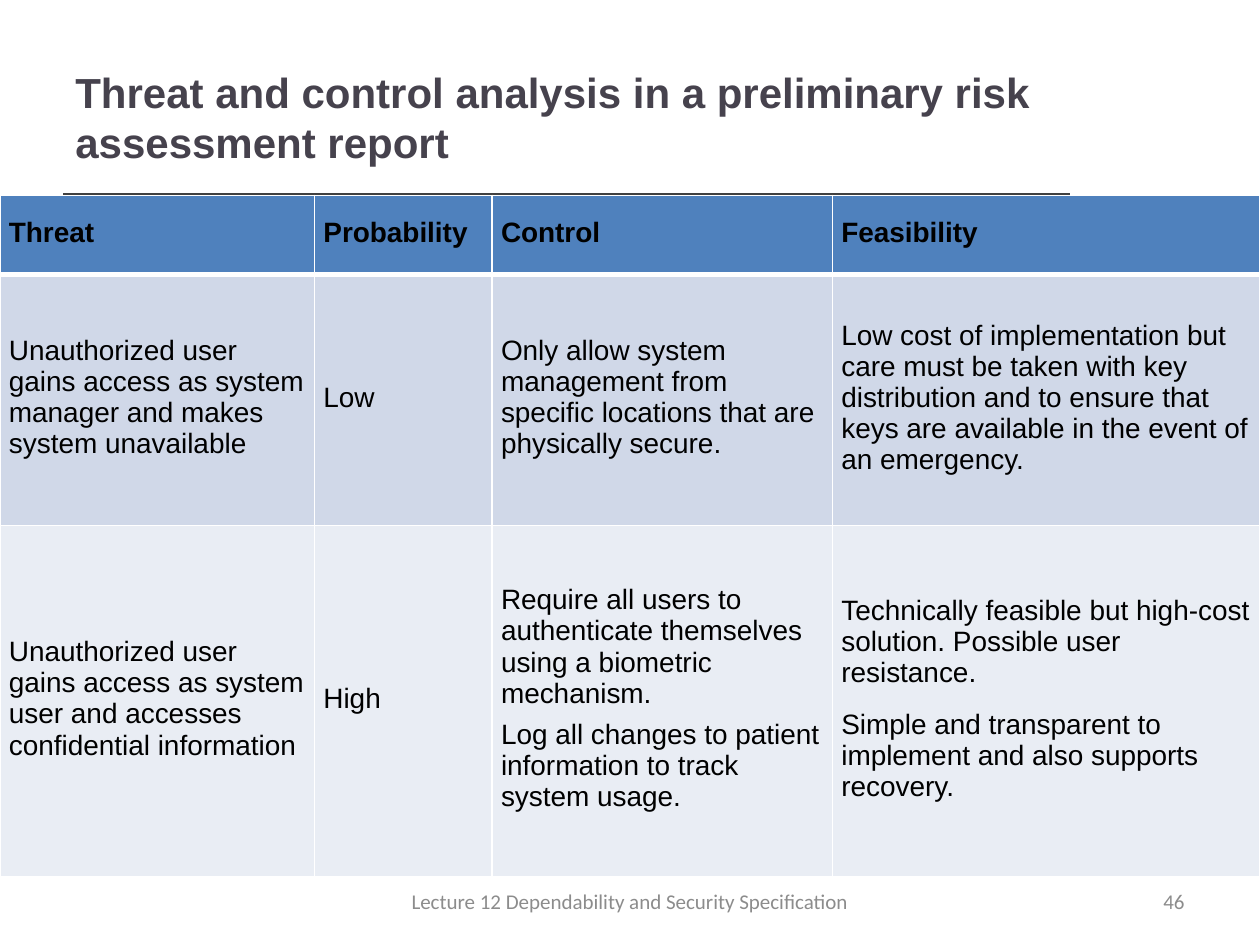
"""Build a slide with a threat and control analysis table."""
import dataclasses

import lxml.etree
import pptx
import pptx.dml.color
import pptx.enum.shapes
import pptx.enum.text
import pptx.oxml
import pptx.oxml.ns
import pptx.util
from pptx.util import Cm

ALIGN = pptx.enum.text.PP_ALIGN
MIDDLE = pptx.enum.text.MSO_ANCHOR.MIDDLE


@dataclasses.dataclass(frozen=True)
class Theme:
    """Colours, fonts and type sizes of the slide."""
    title_color: str = "46424D"
    text_color: str = "000000"
    footer_color: str = "8C8C8C"
    rule_color: str = "404040"
    border_color: str = "FFFFFF"
    row_fills: tuple = ("4F81BD", "D0D8E8", "E9EDF4")
    body_font: str = "Arial"
    footer_font: str = "Calibri"
    title_size: int = 24
    body_size: int = 16
    footer_size: int = 12


@dataclasses.dataclass(frozen=True)
class Entry:
    """One table paragraph with its spacing in points."""
    text: str
    before: int = 0
    after: int = 0


THEME = Theme()
COLUMN_WIDTHS = (6.34, 3.58, 6.86, 8.62)
ROW_HEIGHTS = (1.6, 5.05, 7.09)
HEADINGS = ("Threat", "Probability", "Control", "Feasibility")
MANAGER_THREAT = (
    "Unauthorized user gains access as system manager and makes system unavailable",
    "Low",
    "Only allow system management from specific locations that are physically secure.",
    "Low cost of implementation but care must be taken with key distribution "
    "and to ensure that keys are available in the event of an emergency.",
)
USER_THREAT = (
    [Entry("Unauthorized user gains access as system user and accesses "
           "confidential information", 6)],
    [Entry("High", 6)],
    [Entry("Require all users to authenticate themselves using a biometric mechanism.", 6, 6),
     Entry("Log all changes to patient information to track system usage.")],
    [Entry("Technically feasible but high-cost solution. Possible user resistance.", 6, 6),
     Entry("Simple and transparent to implement and also supports recovery.", 6)],
)
ROWS = (
    [[Entry(heading, 3, 3)] for heading in HEADINGS],
    [[Entry(text)] for text in MANAGER_THREAT],
    USER_THREAT,
)


def rgb(color):
    """Return a colour object for a hex string."""
    return pptx.dml.color.RGBColor.from_string(color)


def format_paragraph(paragraph, font_name, size, color, bold=False):
    """Set the font of every run in a paragraph."""
    for run in paragraph.runs:
        run.font.name = font_name
        run.font.size = pptx.util.Pt(size)
        run.font.bold = bold
        run.font.color.rgb = rgb(color)


def add_text(slide, box, text, font_name, size, color, alignment=ALIGN.LEFT, bold=False):
    """Add a wrapped, vertically centred text box."""
    shape = slide.shapes.add_textbox(*map(Cm, box))
    text_frame = shape.text_frame
    text_frame.word_wrap = True
    text_frame.vertical_anchor = MIDDLE
    text_frame.text = text
    paragraph = text_frame.paragraphs[0]
    paragraph.alignment = alignment
    format_paragraph(paragraph, font_name, size, color, bold)


def add_rule(slide, left, right, top):
    """Add the horizontal rule below the title."""
    connector = slide.shapes.add_connector(
        pptx.enum.shapes.MSO_CONNECTOR.STRAIGHT, Cm(left), Cm(top), Cm(right), Cm(top))
    connector.line.color.rgb = rgb(THEME.rule_color)
    connector.line.width = pptx.util.Pt(2)
    properties = connector._element.spPr
    lxml.etree.SubElement(properties, pptx.oxml.ns.qn("a:effectLst"))


def set_borders(cell, widths):
    """Draw cell borders from a mapping of side letter to width in points."""
    properties = cell._tc.get_or_add_tcPr()
    for side, width in widths.items():
        properties.append(pptx.oxml.parse_xml(
            f'<a:ln{side} {pptx.oxml.ns.nsdecls("a")} w="{pptx.util.Pt(width)}">'
            f'<a:solidFill><a:srgbClr val="{THEME.border_color}"/></a:solidFill>'
            f'</a:ln{side}>'))


def fill_cell(cell, entries, fill, widths, bold):
    """Write and format one table cell."""
    set_borders(cell, widths)
    cell.fill.solid()
    cell.fill.fore_color.rgb = rgb(fill)
    cell.vertical_anchor = MIDDLE
    cell.margin_left = cell.margin_right = Cm(0.18)
    cell.margin_top, cell.margin_bottom = Cm(0.2), Cm(0.3)
    cell.text_frame.text = "\n".join(entry.text for entry in entries)
    for paragraph, entry in zip(cell.text_frame.paragraphs, entries):
        paragraph.space_before = pptx.util.Pt(entry.before)
        paragraph.space_after = pptx.util.Pt(entry.after)
        format_paragraph(paragraph, THEME.body_font, THEME.body_size, THEME.text_color, bold)


def add_threat_table(slide, left, top):
    """Add the table of threats, controls and feasibility."""
    frame = slide.shapes.add_table(
        len(ROWS), len(HEADINGS), Cm(left), Cm(top),
        Cm(sum(COLUMN_WIDTHS)), Cm(sum(ROW_HEIGHTS)))
    table = frame.table
    for column, width in zip(table.columns, COLUMN_WIDTHS):
        column.width = Cm(width)
    for row, height in zip(table.rows, ROW_HEIGHTS):
        row.height = Cm(height)
    for row_index, row in enumerate(ROWS):
        widths = {"L": 1, "R": 1,
                  "T": 3 if row_index == 1 else 1,
                  "B": 3 if row_index == 0 else 1}
        for column_index, entries in enumerate(row):
            fill_cell(table.cell(row_index, column_index), entries,
                      THEME.row_fills[row_index], widths, row_index == 0)


def main():
    """Build and save the presentation."""
    presentation = pptx.Presentation()
    presentation.slide_width, presentation.slide_height = Cm(25.4), Cm(19.05)
    slide = presentation.slides.add_slide(presentation.slide_layouts[6])
    add_rule(slide, 1.27, 21.56, 3.92)
    add_text(slide, (1.27, 0.76, 20.27, 3.18),
             "Threat and control analysis in a preliminary risk assessment report",
             THEME.body_font, THEME.title_size, THEME.title_color, bold=True)
    add_threat_table(slide, 0, 3.94)
    footer_style = (THEME.footer_font, THEME.footer_size, THEME.footer_color)
    add_text(slide, (18.21, 17.66, 5.92, 1.01), "46", *footer_style, ALIGN.RIGHT)
    add_text(slide, (7.2, 17.66, 11, 1.01),
             "Lecture 12 Dependability and Security Specification",
             *footer_style, ALIGN.CENTER)
    presentation.save("out.pptx")


if __name__ == "__main__":
    main()
